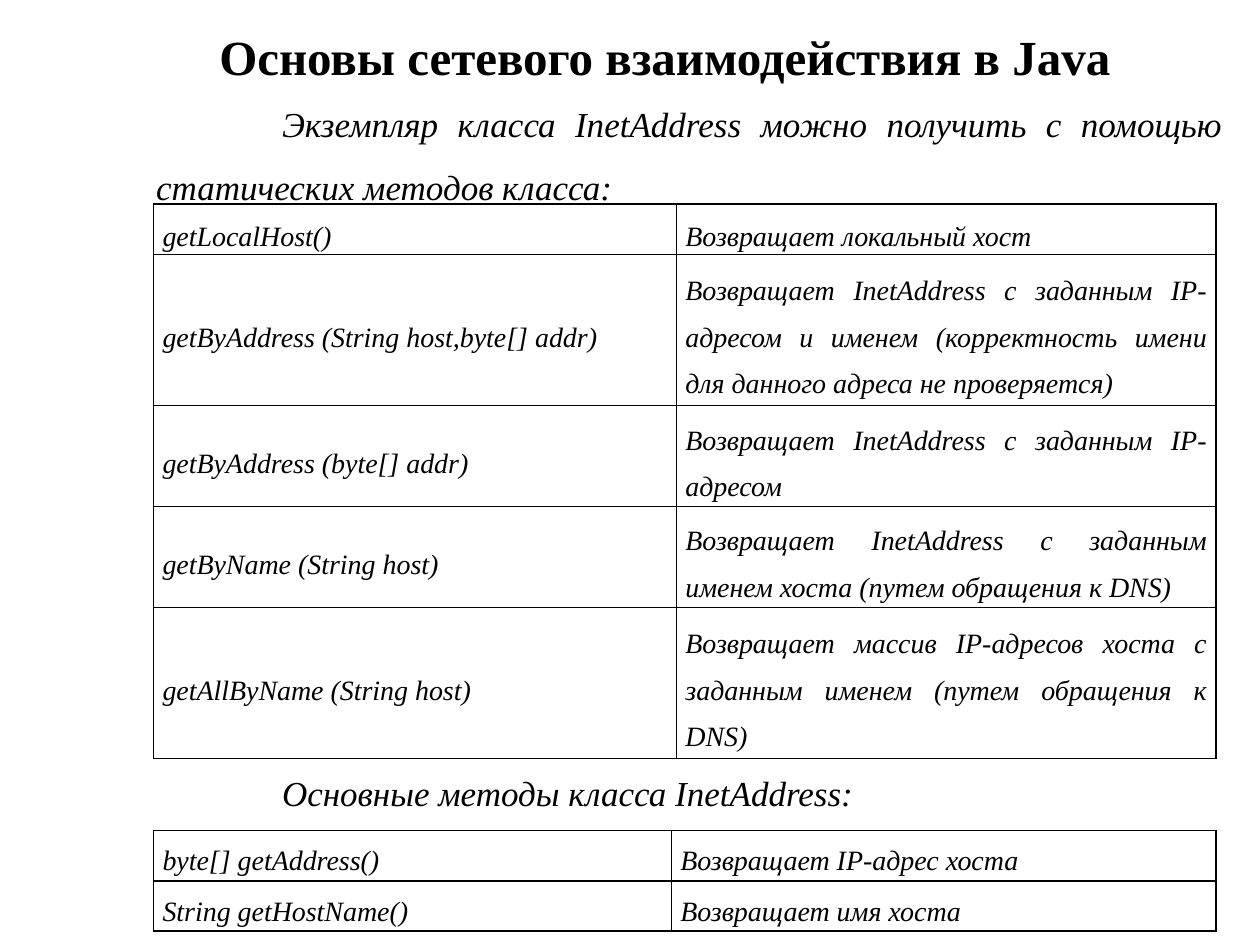
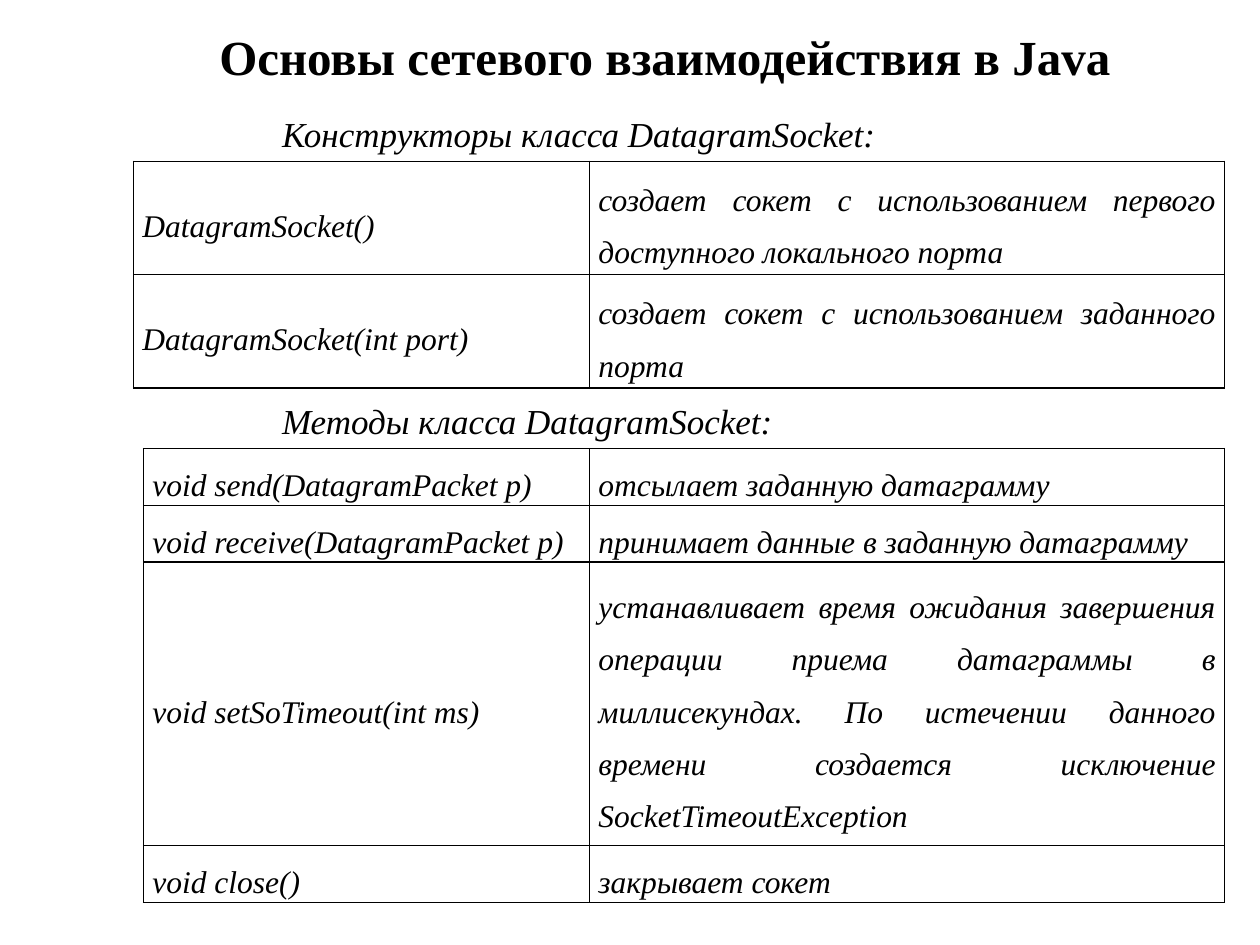
from lxml.etree import SubElement
from pptx import Presentation
from pptx.dml.color import RGBColor
from pptx.enum.text import MSO_ANCHOR as Anchor, PP_ALIGN as Align
from pptx.oxml.ns import qn
from pptx.util import Emu, Pt

EMU_PER_PX = 9144


def px(length):
    return Emu(length * EMU_PER_PX)


def color(code):
    return RGBColor.from_string(code)


def write(frame, text, *, size, font, ink, bold=False, italic=False,
          align=Align.JUSTIFY, spacing=1.0, indent=0):
    para = frame.paragraphs[0]
    para.alignment = align
    para.line_spacing = spacing
    if indent:
        properties = para._p.get_or_add_pPr()
        properties.set("marL", "0")
        properties.set("indent", str(px(indent)))
    span = para.add_run()
    span.text = text
    span.font.name = font
    span.font.size = Pt(size)
    span.font.bold = bold
    span.font.italic = italic
    span.font.color.rgb = color(ink)


class Lecture:
    font = "Times New Roman"
    ink = "000000"
    title = "Основы сетевого взаимодействия в Java"
    line_heights = {16: 40, 18: 45}

    def __init__(self):
        self.deck = Presentation()
        self.deck.slide_width = px(1000)
        self.deck.slide_height = px(750)
        self.page = None

    def add_page(self):
        self.page = self.deck.slides.add_slide(self.deck.slide_layouts[6])
        self.add_text(self.title, 122, 21, 811, 47, anchor=Anchor.MIDDLE,
                      size=28, bold=True, align=Align.CENTER)

    def add_text(self, text, left, top, width, height, anchor=Anchor.TOP, **style):
        box = self.page.shapes.add_textbox(px(left), px(top), px(width), px(height))
        frame = box.text_frame
        frame.word_wrap = True
        frame.vertical_anchor = anchor
        write(frame, text, font=self.font, ink=self.ink, **style)

    def add_lead(self, text, top, height=44, **style):
        self.add_text(text, 114, top, 866, height, size=20, italic=True,
                      indent=100, **style)

    def add_methods(self, left, top, widths, rows, size, anchor=Anchor.MIDDLE):
        heights = [lines * self.line_heights[size] for lines, *_ in rows]
        table = self.page.shapes.add_table(
            len(rows), len(widths), px(left), px(top),
            px(sum(widths)), px(sum(heights))).table
        table.first_row = False
        table.horz_banding = False
        for column, width in zip(table.columns, widths):
            column.width = px(width)
        for row, height, (_, *texts) in zip(table.rows, heights, rows):
            row.height = px(height)
            for cell, text in zip(row.cells, texts):
                cell.margin_left = cell.margin_right = px(7)
                cell.margin_top = cell.margin_bottom = 0
                cell.vertical_anchor = anchor
                self.add_borders(cell)
                cell.fill.background()
                write(cell.text_frame, text, size=size, font=self.font,
                      ink=self.ink, italic=True, spacing=1.5)

    def add_borders(self, cell):
        properties = cell._tc.get_or_add_tcPr()
        for side in ("a:lnL", "a:lnR", "a:lnT", "a:lnB"):
            line = SubElement(properties, qn(side), w=str(Pt(1)))
            fill = SubElement(line, qn("a:solidFill"))
            SubElement(fill, qn("a:srgbClr"), val=self.ink)


def add_address_page(lecture):
    lecture.add_page()
    lecture.add_lead("Экземпляр класса InetAddress можно получить с помощью "
                     "статических методов класса:", 60, 105, spacing=1.5)
    lecture.add_methods(122, 162, (415, 428), [
        (1, "getLocalHost()", "Возвращает локальный хост"),
        (3, "getByAddress (String host,byte[] addr)",
         "Возвращает InetAddress с заданным IP-адресом и именем "
         "(корректность имени для данного адреса не проверяется)"),
        (2, "getByAddress (byte[] addr)",
         "Возвращает InetAddress с заданным IP-адресом"),
        (2, "getByName (String host)",
         "Возвращает InetAddress с заданным именем хоста "
         "(путем обращения к DNS)"),
        (3, "getAllByName (String host)",
         "Возвращает массив IP-адресов хоста с заданным именем "
         "(путем обращения к DNS)"),
    ], size=16)
    lecture.add_lead("Основные методы класса InetAddress:", 607)
    lecture.add_methods(122, 659, (411, 432), [
        (1, "byte[] getAddress()", "Возвращает IP-адрес хоста"),
        (1, "String getHostName()", "Возвращает имя хоста"),
    ], size=16, anchor=Anchor.TOP)


def add_socket_page(lecture):
    lecture.add_page()
    lecture.add_lead("Конструкторы класса DatagramSocket:", 84)
    lecture.add_methods(106, 128, (362, 504), [
        (2, "DatagramSocket()",
         "создает сокет с использованием первого доступного локального порта"),
        (2, "DatagramSocket(int port)",
         "создает сокет с использовaнием заданного порта"),
    ], size=18)
    lecture.add_lead("Методы класса DatagramSocket:", 312, align=Align.LEFT)
    lecture.add_methods(114, 356, (354, 504), [
        (1, "void send(DatagramPacket p)", "отсылает заданную датаграмму"),
        (1, "void receive(DatagramPacket p)",
         "принимает данные в заданную датаграмму"),
        (5, "void setSoTimeout(int ms)",
         "устанавливает время ожидания завершения операции приема датаграммы "
         "в миллисекундах. По истечении данного времени создается исключение "
         "SocketTimeoutException"),
        (1, "void close()", "закрывает сокет"),
    ], size=18)


def main():
    lecture = Lecture()
    add_address_page(lecture)
    add_socket_page(lecture)
    lecture.deck.save("out.pptx")


if __name__ == "__main__":
    main()
